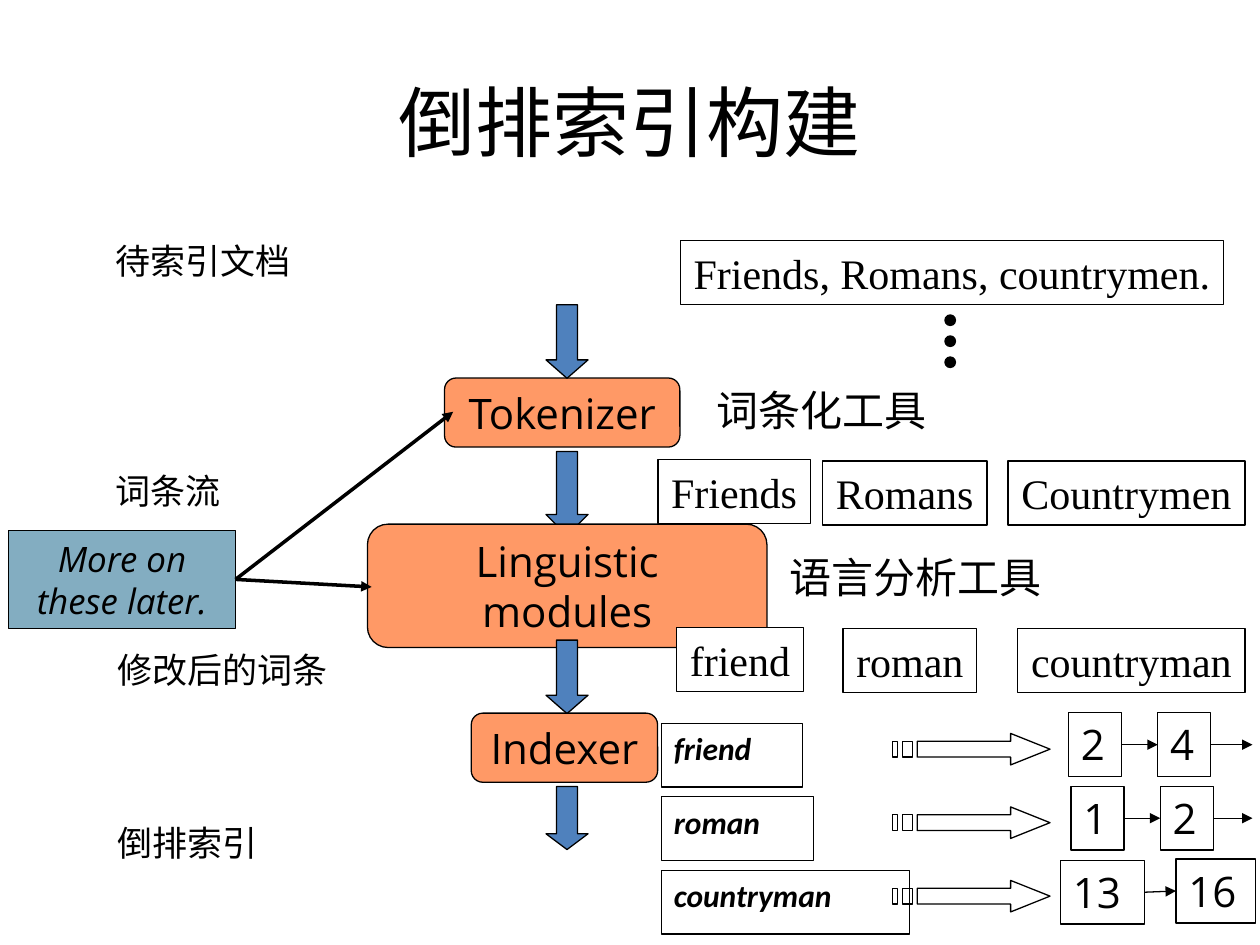
from lxml import etree
from pptx import Presentation
from pptx.dml.color import RGBColor
from pptx.enum.shapes import MSO_CONNECTOR, MSO_SHAPE
from pptx.enum.text import MSO_ANCHOR, MSO_AUTO_SIZE, PP_ALIGN
from pptx.oxml.ns import qn
from pptx.util import Pt

RECTANGLE = MSO_SHAPE.RECTANGLE
ROUNDED = MSO_SHAPE.FLOWCHART_ALTERNATE_PROCESS
DOWN_ARROW = MSO_SHAPE.DOWN_ARROW
OVAL = MSO_SHAPE.OVAL
STRAIGHT = MSO_CONNECTOR.STRAIGHT
FIT_SHAPE = MSO_AUTO_SIZE.SHAPE_TO_FIT_TEXT
FIT_NONE = MSO_AUTO_SIZE.NONE
TOP, MIDDLE = MSO_ANCHOR.TOP, MSO_ANCHOR.MIDDLE
LEFT, CENTER = PP_ALIGN.LEFT, PP_ALIGN.CENTER
BLACK, WHITE = "000000", "FFFFFF"
ORANGE, BLUE, TEAL = "FF9966", "4F81BD", "83ADC1"
SANS, SERIF, BODY = "Open Sans", "Times New Roman", "Calibri"


def color(hex_string):
    """Return the colour for a hex string."""
    return RGBColor.from_string(hex_string)


def write_text(shape, text, size=24, font=SANS, align=CENTER, anchor=MIDDLE,
               wrap=False, fit=FIT_SHAPE, bold=False, italic=False):
    """Write text into a shape, one paragraph for each line."""
    frame = shape.text_frame
    frame.text = text
    frame.word_wrap = wrap
    frame.auto_size = fit
    frame.vertical_anchor = anchor
    for paragraph in frame.paragraphs:
        paragraph.alignment = align
        for run in paragraph.runs:
            run.font.size = Pt(size)
            run.font.name = font
            run.font.bold = bold
            run.font.italic = italic
            run.font.color.rgb = color(BLACK)


def style(shape, fill=None):
    """Give a shape a thin black outline and an optional fill."""
    shape.shadow.inherit = False
    if fill:
        shape.fill.solid()
        shape.fill.fore_color.rgb = color(fill)
    else:
        shape.fill.background()
    shape.line.color.rgb = color(BLACK)
    shape.line.width = Pt(0.75)


def add_box(slide, kind, left, top, width, height, fill=None, text=None, **text_format):
    """Add a preset shape with optional text."""
    shape = slide.shapes.add_shape(kind, Pt(left), Pt(top), Pt(width), Pt(height))
    style(shape, fill)
    if text:
        write_text(shape, text, **text_format)
    return shape


def add_label(slide, text, left, top, width, height, **text_format):
    """Add a plain text box."""
    box = slide.shapes.add_textbox(Pt(left), Pt(top), Pt(width), Pt(height))
    write_text(box, text, **text_format)


def add_arrow(slide, source, target=None, end=(0, 0), width=0.75):
    """Draw an arrow from the right side of a box to the left of another or to a point."""
    line = slide.shapes.add_connector(STRAIGHT, 0, 0, Pt(end[0]), Pt(end[1]))
    line.begin_connect(source, 3)
    if target:
        line.end_connect(target, 1)
    line.line.color.rgb = color(BLACK)
    line.line.width = Pt(width)
    outline = line.line._get_or_add_ln()
    etree.SubElement(outline, qn("a:tailEnd"), type="triangle")
    etree.SubElement(line._element.spPr, qn("a:effectLst"))


def add_down_arrow(slide, top, height):
    """Add a flow arrow in the central column."""
    arrow = add_box(slide, DOWN_ARROW, 312, top, 24, height, BLUE)
    arrow.adjustments[1] = 10.5 / 24 * height / 42 if height < 48 else 0.5


def add_striped_arrow(slide, left, top):
    """Add a right arrow with two bars at its tail."""
    def points(*pairs):
        return [(Pt(x), Pt(y)) for x, y in pairs]

    contours = [points((67.5, 0), (67.5, 4.5), (14.1, 4.5), (14.1, 13.5),
                       (67.5, 13.5), (67.5, 18), (90, 9))]
    for start, end in ((5.6, 11.3), (0, 2.8)):
        contours.append(points((start, 4.5), (start, 13.5), (end, 13.5), (end, 4.5)))
    builder = slide.shapes.build_freeform(*contours[0][0])
    for index, contour in enumerate(contours):
        if index:
            builder.move_to(*contour[0])
        builder.add_line_segments(contour[1:], close=True)
    style(builder.convert_to_shape(Pt(left), Pt(top)))


def add_stage(slide, top, name, box, arrow, label, words=()):
    """Add a processing step with its arrow, left label and output words."""
    left, width, height = box
    add_box(slide, ROUNDED, left, top, width, height, ORANGE, name, wrap=height > 40)
    arrow_offset, arrow_height = arrow
    add_down_arrow(slide, top + arrow_offset, arrow_height)
    text, label_left, label_offset, label_width = label
    add_label(slide, text, label_left, top + label_offset, label_width, 31.5,
              size=20, align=LEFT, anchor=TOP)
    for word, word_left, word_offset, word_width in words:
        add_box(slide, RECTANGLE, word_left, top + word_offset, word_width, 36.5,
                WHITE, word, font=SERIF)


def add_posting(slide, left, top, term, term_width, numbers, continues):
    """Add a dictionary term, its pointer arrow and its chain of document numbers."""
    add_box(slide, RECTANGLE, left, top, term_width, 36.5, None, term, size=18,
            font=BODY, align=LEFT, anchor=TOP, bold=True, italic=True)
    add_striped_arrow(slide, left + 132, top + 5.8)
    boxes = [
        add_box(slide, RECTANGLE, left + offset, top + shift, width, 36.5, None, number,
                align=LEFT, anchor=TOP, wrap=number == "13")
        for number, offset, shift, width in numbers
    ]
    add_arrow(slide, *boxes)
    if continues:
        last = boxes[-1]
        add_arrow(slide, last, end=(715.7, (last.top + last.height / 2) / Pt(1)))


def add_callout(slide, left, top, width, height):
    """Add the side note with arrows to the two steps it speaks of."""
    note = add_box(slide, RECTANGLE, left, top, width, height, TEAL,
                   "More on\nthese later.", size=20, italic=True, wrap=True)
    for x, y in ((254, -67.7), (207.4, 32.4)):
        add_arrow(slide, note, end=(left + x, top + y), width=2)


def add_source(slide, top):
    """Add the input document row with its dots and arrow."""
    add_down_arrow(slide, top + 41, 42)
    add_label(slide, "待索引文档", 59, top, 115.2, 31.5, size=20, align=LEFT, anchor=TOP)
    add_box(slide, RECTANGLE, 388.8, top + 4.2, 310.3, 36.7, WHITE,
            "Friends, Romans, countrymen.", font=SERIF)
    for index in range(3):
        add_box(slide, OVAL, 540, top + 46.8 + 12 * index, 6, 6, BLACK)


def main():
    """Build the index construction slide."""
    presentation = Presentation()
    presentation.slide_width, presentation.slide_height = Pt(720), Pt(540)
    slide = presentation.slides.add_slide(presentation.slide_layouts[6])
    add_label(slide, "倒排索引构建", 42, 30, 636, 78, size=44, font=BODY,
              wrap=True, fit=FIT_NONE)
    add_stage(slide, 216, "Tokenizer", (254, 134.5, 39.5), (42, 48),
              ("词条流", 59, 49, 75),
              [("Friends", 376, 46.8, 87), ("Romans", 470, 47.5, 94),
               ("Countrymen", 576, 47.5, 135.4)])
    add_stage(slide, 299.5, "Linguistic modules", (210, 228.3, 70.5), (66.3, 42),
              ("修改后的词条", 59.8, 67.7, 136),
              [("friend", 386.5, 59, 72.7), ("roman", 481.7, 59.7, 76.5),
               ("countryman", 581.6, 59.7, 129.8)])
    add_stage(slide, 407.5, "Indexer", (269.3, 106.5, 39.5), (42, 36),
              ("倒排索引", 59.8, 58.3, 95))
    postings = [
        ("friend", 80.8, [("2", 232.5, -6, 30.3), ("4", 283.6, -6, 30.3)], True),
        ("roman", 86.7, [("1", 234, -6, 30.3), ("2", 285, -6, 30.3)], True),
        ("countryman", 141.8, [("13", 228, -5.7, 48), ("16", 294, -6.4, 45.5)], False),
    ]
    for index, posting in enumerate(postings):
        add_posting(slide, 378, 413.3 + 42 * index, *posting)
    add_callout(slide, 5, 303, 129.6, 56.2)
    add_source(slide, 133.2)
    add_label(slide, "词条化工具", 402, 216, 134.6, 36)
    add_label(slide, "语言分析工具", 443.5, 311.8, 159.8, 36)
    presentation.save("out.pptx")


if __name__ == "__main__":
    main()
